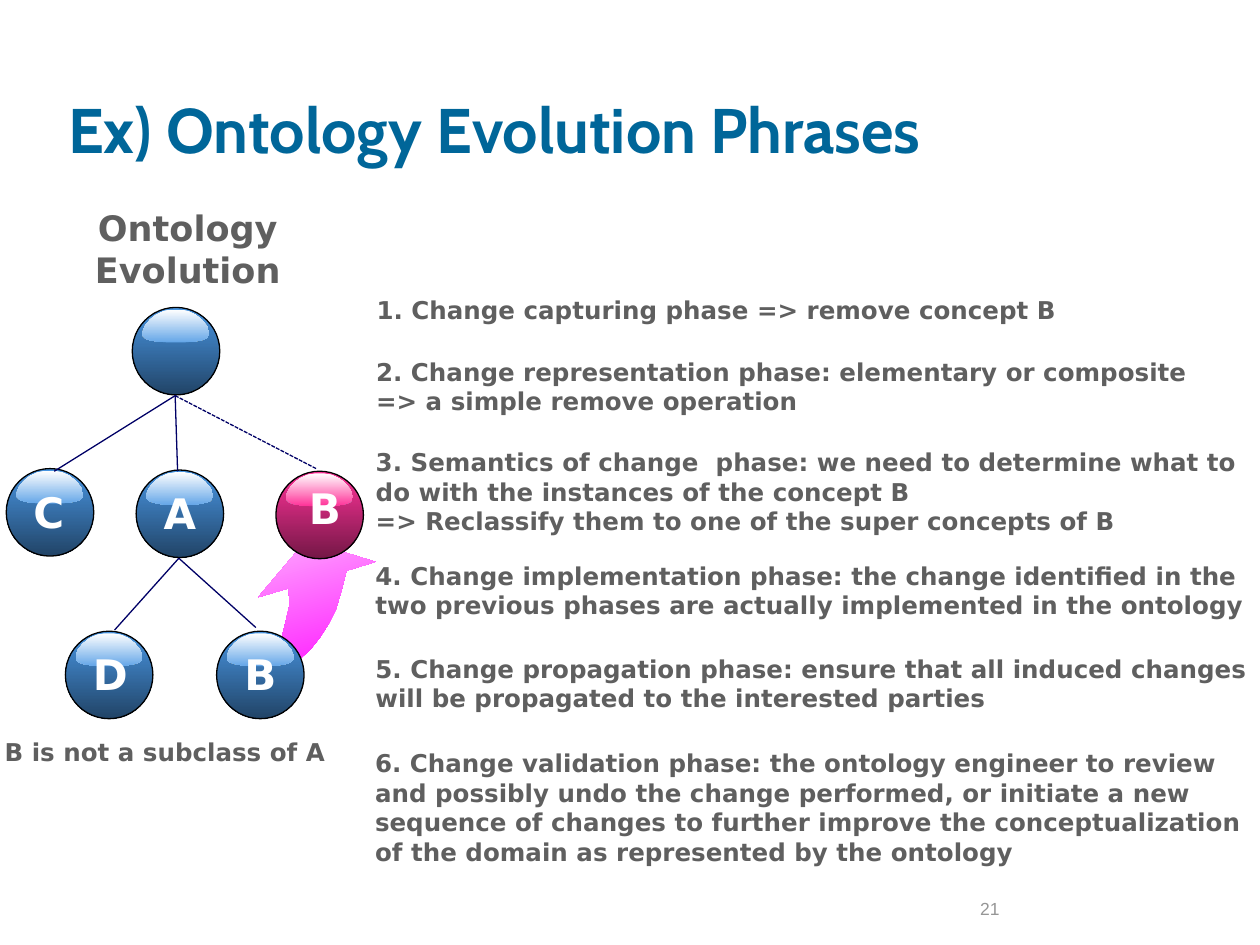
from dataclasses import dataclass

from lxml.etree import SubElement
from pptx import Presentation
from pptx.dml.color import RGBColor
from pptx.enum.dml import MSO_LINE
from pptx.enum.shapes import MSO_CONNECTOR, MSO_SHAPE
from pptx.enum.text import MSO_ANCHOR as Anchor, MSO_AUTO_SIZE as AutoSize, PP_ALIGN as Align
from pptx.oxml.ns import qn
from pptx.util import Pt

SANS = "DejaVu Sans"
GREY = "5F5F5F"
BALL_SIZE = 50
GLOSS_WIDTH = 38.2
GLOSS_LEFT_HALF = [
    (13.7, 18.7), (8.6, 18.3), (4.3, 17.5), (1.8, 16.6), (0.2, 15), (0, 13),
    (1.4, 9.4), (4.3, 5.8), (7.9, 2.9), (12.2, 0.9), (16.6, 0),
]
ARROW_OUTLINE = [
    (134.6, 395.3), (145.4, 391.7), (154.8, 387.4), (163.4, 383), (170.6, 377.3),
    (177.1, 371.5), (182.9, 364.3), (187.9, 356.4), (192.2, 347.8), (195.1, 337.7),
    (198, 326.2), (214.6, 321.1), (175, 308.9), (147.6, 341.3), (164.9, 336.2),
    (165.6, 345.6), (164.2, 351.4), (161.3, 363.6), (155.5, 375.1), (147.6, 385.9),
    (139, 393.1),
]


@dataclass
class Palette:
    body: tuple[str, str]
    gloss: tuple[str, str]


@dataclass
class Concept:
    label: str
    left: float
    top: float
    palette: Palette
    label_dx: float = 0
    label_dy: float = 6.5


@dataclass
class Link:
    start: tuple[float, float]
    end: tuple[float, float]
    dashed: bool = False


@dataclass
class Caption:
    lines: list[str]
    left: float
    top: float
    width: float
    height: float
    size: float = 14
    align: Align = Align.LEFT
    color: str = GREY
    font: str = SANS
    bold: bool = True
    anchor: Anchor = Anchor.TOP
    wrap: bool = True


BLUE = Palette(("4996E3", "214467"), ("FFFFFF", "66A7E8"))
PINK = Palette(("FF3399", "741746"), ("FFFFFF", "FF3399"))

CONCEPTS = [
    Concept("", 75.6, 175.7, BLUE),
    Concept("C", 3.6, 267.8, BLUE, label_dx=-0.7),
    Concept("A", 77.8, 268.6, BLUE),
    Concept("D", 37.4, 360.7, BLUE, label_dx=0.7),
    Concept("B", 123.8, 360.7, BLUE),
    Concept("B", 157.7, 269.3, PINK, label_dx=3, label_dy=2.9),
]
ROOT_FOOT = (100.1, 226.1)
A_FOOT = (102.2, 319)
LINKS = [
    Link(ROOT_FOOT, (101.5, 269.3)),
    Link(ROOT_FOOT, (31, 269.3)),
    Link(ROOT_FOOT, (180.7, 267.8), dashed=True),
    Link(A_FOOT, (65.5, 360)),
    Link(A_FOOT, (146.2, 358.6)),
]
CAPTIONS = [
    Caption(["Ontology Evolution"], 3.6, 114.5, 207.4, 31.7, 20, Align.CENTER),
    Caption(["B is not a subclass of A"], -9.4, 417.6, 207.4, 24.5, align=Align.CENTER),
    Caption(["1. Change capturing phase => remove concept B"], 208.1, 164.9, 415.4, 24.5),
    Caption(["2. Change representation phase: elementary or composite",
             "=> a simple remove operation"], 207.8, 200.2, 519.8, 57.6),
    Caption(["3. Semantics of change  phase: we need to determine what to do with "
             "the instances of the concept B",
             "=> Reclassify them to one of the super concepts of B"], 207.6, 252, 519.8, 57.6),
    Caption(["4. Change implementation phase: the change identified in the two previous "
             "phases are actually implemented in the ontology"], 207.4, 316.8, 519.8, 41),
    Caption(["5. Change propagation phase: ensure that all induced changes will be "
             "propagated to the interested parties"], 207.4, 370.1, 519.8, 41),
    Caption(["6. Change validation phase: the ontology engineer to review and possibly undo "
             "the change performed, or initiate a new sequence of changes to further improve "
             "the conceptualization of the domain as represented by the ontology"],
            207.2, 424.1, 519.8, 74.9),
    Caption(["21"], 553, 492.5, 149.8, 36, 10, color="969696", font="Arial",
            bold=False, anchor=Anchor.BOTTOM),
]


def rgb(value: str) -> RGBColor:
    return RGBColor.from_string(value)


def fill_gradient(shape, colors: tuple[str, str], angle: float = 270) -> None:
    """Blend two colours; the angle runs counter-clockwise, so 270 is downwards."""
    shape.shadow.inherit = False
    shape.fill.gradient()
    shape.fill.gradient_angle = angle
    for stop, color in zip(shape.fill.gradient_stops, colors):
        stop.color.rgb = rgb(color)


def add_outline(shapes, points: list[tuple[float, float]], colors: tuple[str, str],
                angle: float = 270) -> None:
    corners = [(Pt(x), Pt(y)) for x, y in points]
    builder = shapes.build_freeform(*corners[0])
    builder.add_line_segments(corners[1:], close=True)
    outline = builder.convert_to_shape()
    fill_gradient(outline, colors, angle)
    outline.line.fill.background()


def write(frame, caption: Caption) -> None:
    frame.word_wrap = caption.wrap
    frame.auto_size = AutoSize.NONE
    frame.vertical_anchor = caption.anchor
    for index, line in enumerate(caption.lines):
        para = frame.add_paragraph() if index else frame.paragraphs[0]
        para.alignment = caption.align
        span = para.add_run()
        span.text = line
        span.font.name = caption.font
        span.font.size = Pt(caption.size)
        span.font.bold = caption.bold
        span.font.color.rgb = rgb(caption.color)


def place(box, caption: Caption) -> None:
    box.left, box.top = Pt(caption.left), Pt(caption.top)
    box.width, box.height = Pt(caption.width), Pt(caption.height)
    write(box.text_frame, caption)


def add_caption(shapes, caption: Caption) -> None:
    place(shapes.add_textbox(0, 0, Pt(10), Pt(10)), caption)


def add_concept(page, concept: Concept) -> None:
    shapes = page.shapes.add_group_shape().shapes
    ball = shapes.add_shape(MSO_SHAPE.OVAL, Pt(concept.left), Pt(concept.top),
                            Pt(BALL_SIZE), Pt(BALL_SIZE))
    fill_gradient(ball, concept.palette.body)
    ball.line.color.rgb = rgb("000000")
    ball.line.width = Pt(0.75)
    right_half = [(GLOSS_WIDTH - x, y) for x, y in reversed(GLOSS_LEFT_HALF)]
    gloss = [(concept.left + 5.8 + x, concept.top + 1.2 + y)
             for x, y in GLOSS_LEFT_HALF + right_half]
    add_outline(shapes, gloss, concept.palette.gloss)
    if concept.label:
        width = 31
        left = concept.left + (BALL_SIZE - width) / 2 + concept.label_dx
        add_caption(shapes, Caption([concept.label], left, concept.top + concept.label_dy,
                                    width, 36, 24, Align.CENTER, "FFFFFF", wrap=False))


def add_link(page, link: Link) -> None:
    ends = [Pt(value) for value in link.start + link.end]
    line = page.shapes.add_connector(MSO_CONNECTOR.STRAIGHT, *ends)
    line.line.color.rgb = rgb("000066")
    line.line.width = Pt(0.75)
    if link.dashed:
        line.line.dash_style = MSO_LINE.SQUARE_DOT
    SubElement(line._element.spPr, qn("a:effectLst"))


def main() -> None:
    deck = Presentation()
    deck.slide_width, deck.slide_height = Pt(720), Pt(540)
    page = deck.slides.add_slide(deck.slide_layouts[5])
    place(page.shapes.title, Caption(["Ex) Ontology Evolution Phrases"], 31.7, 8.6, 612, 90, 36,
                                     color="006699", font="Cabin", anchor=Anchor.BOTTOM))
    add_outline(page.shapes, ARROW_OUTLINE, ("FF00FF", "FFAEFF"), angle=106)
    for concept in CONCEPTS:
        add_concept(page, concept)
    for link in LINKS:
        add_link(page, link)
    for caption in CAPTIONS:
        add_caption(page.shapes, caption)
    deck.save("out.pptx")


if __name__ == "__main__":
    main()
